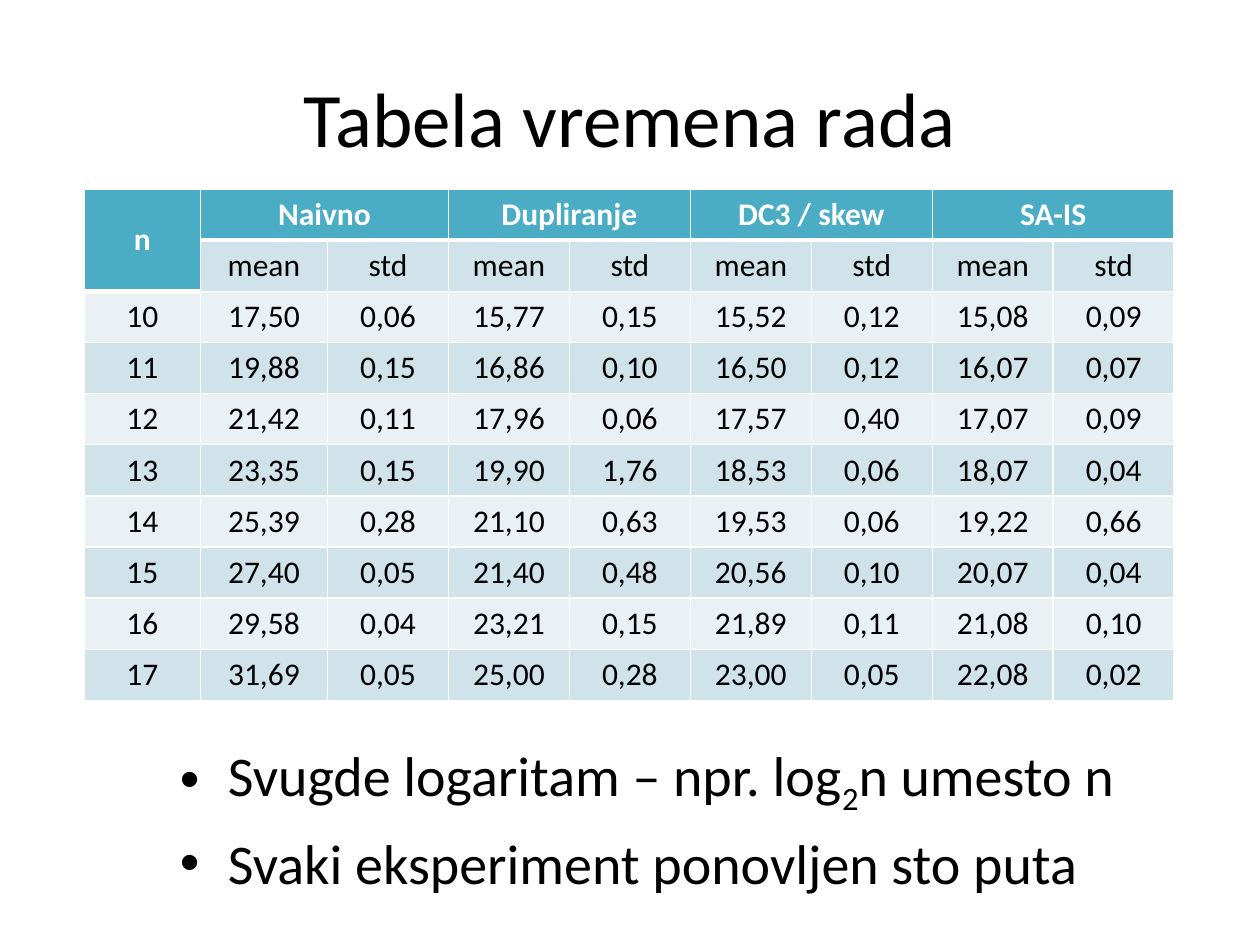
import pptx
import pptx.dml.color
import pptx.enum.text
import pptx.oxml.ns
import pptx.util
from lxml import etree
from pptx.util import Inches

COLORS = {
    "header": "4BACC6",
    "band_dark": "D0E3EA",
    "band_light": "E9F1F5",
    "white": "FFFFFF",
    "black": "000000",
}
FONT = "Calibri"
ALIGN = pptx.enum.text.PP_ALIGN
ANCHOR = pptx.enum.text.MSO_ANCHOR
qn = pptx.oxml.ns.qn


def set_font(paragraph, size, color, bold=False):
    paragraph.font.name = FONT
    paragraph.font.size = pptx.util.Pt(size)
    paragraph.font.bold = bold
    paragraph.font.color.rgb = pptx.dml.color.RGBColor.from_string(COLORS[color])


def set_borders(cell, bottom_width):
    properties = cell._tc.get_or_add_tcPr()
    for side, width in (("lnL", 1), ("lnR", 1), ("lnT", 1), ("lnB", bottom_width)):
        line = etree.SubElement(properties, qn(f"a:{side}"), w=str(pptx.util.Pt(width)))
        fill = etree.SubElement(line, qn("a:solidFill"))
        etree.SubElement(fill, qn("a:srgbClr"), val=COLORS["white"])


presentation = pptx.Presentation()
presentation.slide_width = Inches(10)
presentation.slide_height = Inches(7.5)
slide = presentation.slides.add_slide(presentation.slide_layouts[5])

# Title
title = slide.shapes.title
title.left, title.top = Inches(0.5), Inches(0.3)
title.width, title.height = Inches(9), Inches(1.25)
title.text_frame.text = "Tabela vremena rada"
title.text_frame.vertical_anchor = ANCHOR.MIDDLE
title.text_frame.paragraphs[0].alignment = ALIGN.CENTER
set_font(title.text_frame.paragraphs[0], 44, "black")

# Running times: a mean and a deviation for each algorithm
algorithms = ["Naivno", "Dupliranje", "DC3 / skew", "SA-IS"]
measurements = """
10 17,50 0,06 15,77 0,15 15,52 0,12 15,08 0,09
11 19,88 0,15 16,86 0,10 16,50 0,12 16,07 0,07
12 21,42 0,11 17,96 0,06 17,57 0,40 17,07 0,09
13 23,35 0,15 19,90 1,76 18,53 0,06 18,07 0,04
14 25,39 0,28 21,10 0,63 19,53 0,06 19,22 0,66
15 27,40 0,05 21,40 0,48 20,56 0,10 20,07 0,04
16 29,58 0,04 23,21 0,15 21,89 0,11 21,08 0,10
17 31,69 0,05 25,00 0,28 23,00 0,05 22,08 0,02
"""
header = ["n"]
for algorithm in algorithms:
    header += [algorithm, ""]
rows = [header, [""] + ["mean", "std"] * len(algorithms)]
rows += [line.split() for line in measurements.strip().splitlines()]

# Table
table = slide.shapes.add_table(
    len(rows), len(header), Inches(0.67), Inches(1.5), Inches(8.67), Inches(4.06)
).table
for column, width in zip(table.columns, [0.92, 1.01] + [0.96] * 7):
    column.width = Inches(width)

for row_index, values in enumerate(rows):
    for column_index, value in enumerate(values):
        cell = table.cell(row_index, column_index)
        is_header = row_index == 0 or (row_index == 1 and column_index == 0)
        if is_header:
            fill_color = "header"
        else:
            fill_color = "band_dark" if row_index % 2 else "band_light"
        set_borders(cell, 3 if is_header else 1)
        cell.fill.solid()
        cell.fill.fore_color.rgb = pptx.dml.color.RGBColor.from_string(COLORS[fill_color])
        cell.vertical_anchor = ANCHOR.MIDDLE
        cell.text = value
        paragraph = cell.text_frame.paragraphs[0]
        paragraph.alignment = ALIGN.CENTER
        set_font(paragraph, 18, "white" if is_header else "black", is_header)

table.cell(0, 0).merge(table.cell(1, 0))
for first in range(1, len(header), 2):
    table.cell(0, first).merge(table.cell(0, first + 1))

# Notes on the experiment, with the base of the logarithm as a subscript
notes = slide.shapes.add_textbox(Inches(1.33), Inches(5.83), Inches(7.67), Inches(1.25))
notes.text_frame.word_wrap = True
bullets = [
    ["Svugde logaritam – npr. log", "2", "n umesto n"],
    ["Svaki eksperiment ponovljen sto puta"],
]
for index, parts in enumerate(bullets):
    paragraph = notes.text_frame.paragraphs[0] if index == 0 else notes.text_frame.add_paragraph()
    for part in parts:
        run = paragraph.add_run()
        run.text = part
        if part == "2":
            run.font._element.set("baseline", "-25000")
    set_font(paragraph, 32, "black")
    properties = paragraph._p.get_or_add_pPr()
    properties.set("marL", str(Inches(0.38)))
    properties.set("indent", str(-Inches(0.38)))
    paragraph.space_before = pptx.util.Pt(6.4)
    bullet_font = etree.Element(qn("a:buFont"), typeface="Arial")
    bullet = etree.Element(qn("a:buChar"), char="•")
    properties.find(qn("a:defRPr")).addprevious(bullet_font)
    bullet_font.addnext(bullet)

presentation.save("out.pptx")
